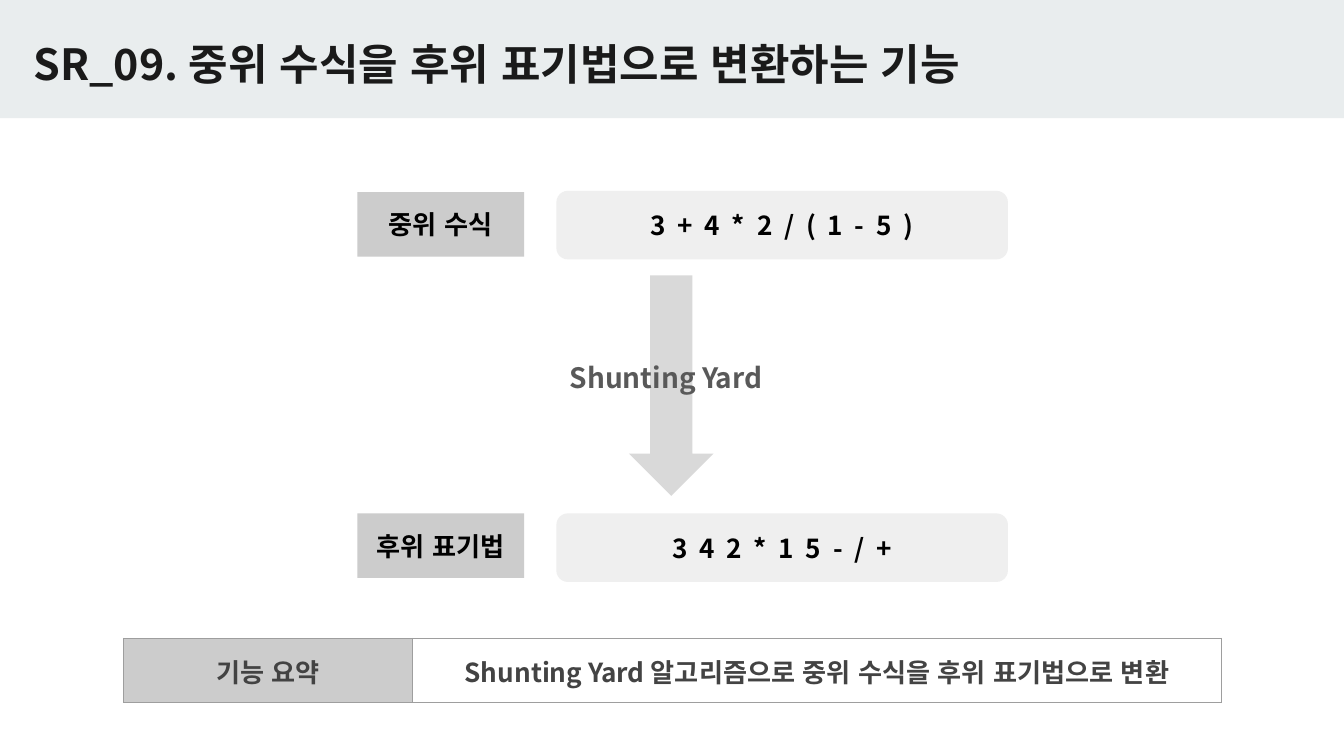
from lxml import etree
from pptx import Presentation
from pptx.dml.color import RGBColor
from pptx.enum.lang import MSO_LANGUAGE_ID
from pptx.enum.shapes import MSO_SHAPE
from pptx.enum.text import MSO_ANCHOR, PP_ALIGN
from pptx.oxml.ns import qn
from pptx.util import Inches, Pt

RECT = MSO_SHAPE.RECTANGLE
ROUND = MSO_SHAPE.ROUNDED_RECTANGLE
ARROW = MSO_SHAPE.DOWN_ARROW
TOP, MIDDLE = MSO_ANCHOR.TOP, MSO_ANCHOR.MIDDLE
LEFT, CENTER = PP_ALIGN.LEFT, PP_ALIGN.CENTER
KOREAN = MSO_LANGUAGE_ID.KOREAN
FONT = "Noto Sans CJK KR"
COLORS = {
    "band": "E9EDEE", "title": "1A1A1A", "label": "CCCCCC", "value": "EFEFEF",
    "arrow": "D9D9D9", "ink": "000000", "note": "595959", "cell": "434343",
    "edge": "9E9E9E",
}


def color(name):
    """Return the named colour."""
    return RGBColor.from_string(COLORS[name])


def pad(box):
    """Set the same margin on all sides of a text frame or cell."""
    box.margin_left = box.margin_right = Inches(0.1)
    box.margin_top = box.margin_bottom = Inches(0.1)


def write(frame, text, size=14, ink="ink", align=CENTER, anchor=MIDDLE, track=0):
    """Put one bold line of text in a frame; track is letter spacing in points."""
    frame.word_wrap = True
    frame.vertical_anchor = anchor
    pad(frame)
    line = frame.paragraphs[0]
    line.alignment = align
    run = line.add_run()
    run.text = text
    run.font.size = Pt(size)
    run.font.bold = True
    run.font.name = FONT
    run.font.language_id = KOREAN
    run.font.color.rgb = color(ink)
    props = run._r.get_or_add_rPr()
    etree.SubElement(props, qn("a:ea")).set("typeface", FONT)
    if track:
        props.set("spc", str(int(track * 100)))


def block(slide, kind, box, fill):
    """Add a flat filled shape without an outline."""
    shape = slide.shapes.add_shape(kind, *map(Inches, box))
    shape.shadow.inherit = False
    shape.fill.solid()
    shape.fill.fore_color.rgb = color(fill)
    shape.line.fill.background()
    return shape


def header(slide, box, text):
    """Draw the title band and place the title on it."""
    x, y, w, h = box
    band = block(slide, RECT, box, "band")
    slide.shapes._spTree.insert(2, band._element)
    title = slide.shapes.title
    title.left, title.top = Inches(x + 0.15), Inches(y + 0.18)
    title.width, title.height = Inches(w - 1.59), Inches(h - 0.29)
    write(title.text_frame, text, size=23, ink="title", align=LEFT, anchor=TOP)


def pair(slide, box, label, value, drop=0):
    """Draw a label and its expression side by side."""
    x, y, w, h = box
    gap, side = 0.24, 1.24
    start = side + gap
    right = block(slide, ROUND, (x + start, y, w - start, h), "value")
    write(right.text_frame, value, track=1.55)
    left = block(slide, RECT, (x, y + drop, side, h - 0.03), "label")
    write(left.text_frame, label)


def step(slide, box, text):
    """Draw the down arrow with the method name across it."""
    x, y, w, h = box
    block(slide, ARROW, (x + 0.54, y, 0.63, h), "arrow")
    note = slide.shapes.add_textbox(*map(Inches, (x, y + 0.53, w, 0.41)))
    write(note.text_frame, text, size=15, ink="note", align=LEFT, anchor=TOP)


def edge(cell):
    """Draw a thin line on all four sides of a cell."""
    props = cell._tc.get_or_add_tcPr()
    for side in ("lnL", "lnR", "lnT", "lnB"):
        line = etree.SubElement(props, qn(f"a:{side}"), w=str(Pt(0.75)))
        fill = etree.SubElement(line, qn("a:solidFill"))
        etree.SubElement(fill, qn("a:srgbClr"), val=COLORS["edge"])


def summary(slide, box, label, text):
    """Draw the one-row summary table."""
    w, side = box[2], 2.15
    table = slide.shapes.add_table(1, 2, *map(Inches, box)).table
    table.first_row = table.horz_banding = False
    parts = ((label, side, MIDDLE), (text, w - side, TOP))
    for i, (words, width, anchor) in enumerate(parts):
        table.columns[i].width = Inches(width)
        cell = table.cell(0, i)
        edge(cell)
        pad(cell)
        cell.vertical_anchor = anchor
        write(cell.text_frame, words, ink="cell", anchor=None)
        cell.fill.background()
    head = table.cell(0, 0).fill
    head.solid()
    head.fore_color.rgb = color("label")


def main():
    """Build and save the slide."""
    deck = Presentation()
    deck.slide_width = Inches(10)
    deck.slide_height = deck.slide_width * 9 // 16
    slide = deck.slides.add_slide(deck.slide_layouts[5])
    header(slide, (0, 0, 10, 0.88), "SR_09. 중위 수식을 후위 표기법으로 변환하는 기능")
    pair(slide, (2.66, 1.42, 4.84, 0.51), "중위 수식", "3 + 4 * 2 / ( 1 - 5 )", drop=0.01)
    pair(slide, (2.66, 3.82, 4.84, 0.51), "후위 표기법", "3 4 2 * 1 5 - / +")
    step(slide, (4.14, 2.05, 2.02, 1.64), "Shunting Yard")
    summary(slide, (0.92, 4.75, 8.17, 0.48), "기능 요약",
            "Shunting Yard 알고리즘으로 중위 수식을 후위 표기법으로 변환")
    deck.save("out.pptx")


if __name__ == "__main__":
    main()
